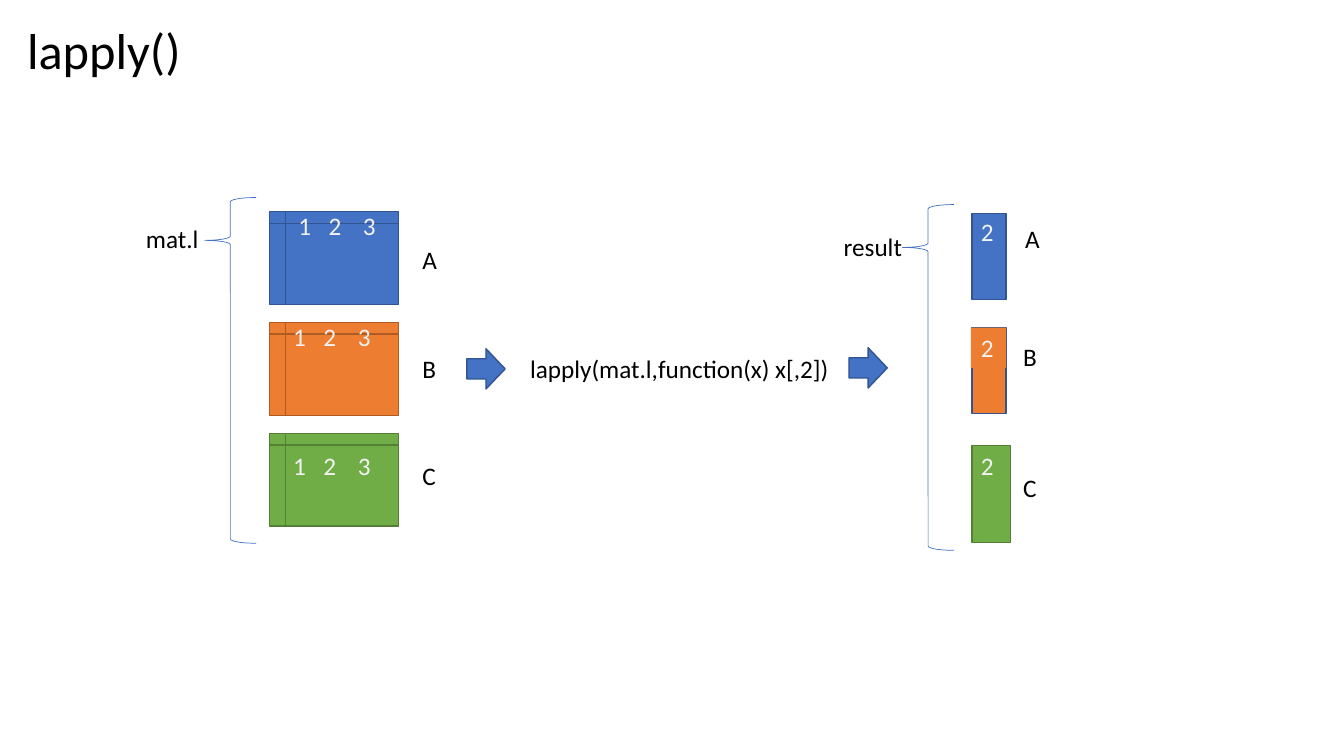
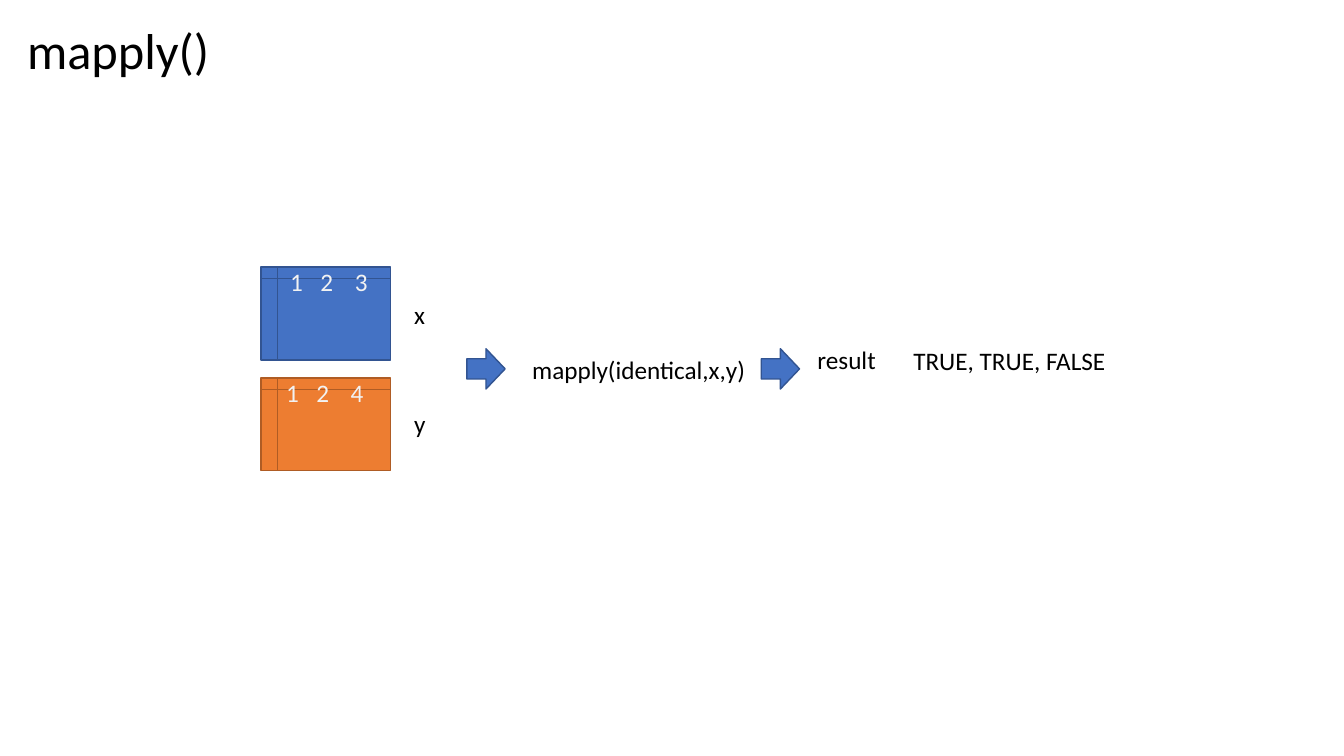
from dataclasses import dataclass

from lxml import etree
from pptx import Presentation
from pptx.dml.color import RGBColor
from pptx.enum.shapes import MSO_SHAPE
from pptx.enum.text import MSO_AUTO_SIZE, MSO_VERTICAL_ANCHOR, PP_ALIGN
from pptx.oxml.ns import qn
from pptx.util import Inches, Pt

MATRIX = MSO_SHAPE.FLOWCHART_INTERNAL_STORAGE
BRACE = MSO_SHAPE.LEFT_BRACE
ARROW = MSO_SHAPE.RIGHT_ARROW
RECTANGLE = MSO_SHAPE.RECTANGLE
LEFT = PP_ALIGN.LEFT
TOP = MSO_VERTICAL_ANCHOR.TOP
GROW = MSO_AUTO_SIZE.SHAPE_TO_FIT_TEXT

COLUMNS, ROWS = 13.33, 7.5
CELL = Inches(1)
LINE_HEIGHT = 0.4
LABEL_WIDTH = 0.38
NAME_WIDTH = 0.83
MATRIX_WIDTH, MATRIX_HEIGHT, MATRIX_STEP = 1.28, 0.92, 1.1
LABEL_GAP = 1.42
DIGIT_STOPS = (0.3, 0.64)


@dataclass(frozen=True)
class Theme:
    font: str = "Calibri"
    title_size: float = 36
    body_size: float = 18
    outline: float = 1
    thin: float = 0.5
    ink: str = "000000"
    pale: str = "F2F2F2"
    blue: str = "4472C4"
    blue_edge: str = "325491"
    orange: str = "ED7D31"
    orange_edge: str = "AF5C24"
    green: str = "70AD47"
    green_edge: str = "538035"


THEME = Theme()
BLUE = (THEME.blue, THEME.blue_edge)
ORANGE = (THEME.orange, THEME.orange_edge)
GREEN = (THEME.green, THEME.green_edge)


def place(*lengths):
    return [round(length * CELL) for length in lengths]


def add_text(slide, text, left, top, width, height=LINE_HEIGHT,
             size=THEME.body_size, color=THEME.ink, wrap=True):
    box = slide.shapes.add_textbox(*place(left, top, width, height))
    frame = box.text_frame
    frame.word_wrap = wrap
    frame.auto_size = GROW
    frame.vertical_anchor = TOP
    frame.text = text
    paragraph = frame.paragraphs[0]
    paragraph.alignment = LEFT
    for run in paragraph.runs:
        run.font.name = THEME.font
        run.font.size = Pt(size)
        run.font.color.rgb = RGBColor.from_string(color)
    return paragraph


def add_title(slide, text, width):
    add_text(slide, text, 0.17, 0.14, width, 0.71, THEME.title_size, wrap=False)


def add_figure(slide, kind, left, top, width, height,
               fill=None, edge=None, weight=THEME.outline):
    figure = slide.shapes.add_shape(kind, *place(left, top, width, height))
    figure.shadow.inherit = False
    if fill:
        figure.fill.solid()
        figure.fill.fore_color.rgb = RGBColor.from_string(fill)
    else:
        figure.fill.background()
    if edge:
        figure.line.color.rgb = RGBColor.from_string(edge)
        figure.line.width = Pt(weight)
    else:
        figure.line.fill.background()
    return figure


def add_arrow(slide, left, top=3.46):
    add_figure(slide, ARROW, left, top, 0.38, LINE_HEIGHT, *BLUE)


def add_brace(slide, left, top):
    brace = add_figure(slide, BRACE, left, top, 0.51, 3.43,
                       edge=THEME.blue, weight=THEME.thin)
    brace.adjustments[0] = 0.083
    brace.adjustments[1] = 0.124


def add_digits(slide, digits, left, top):
    paragraph = add_text(slide, "\t".join(digits), left, top, 0.99, color=THEME.pale)
    properties = paragraph.runs[0].font._element.getparent().getparent().get_or_add_pPr()
    stops = etree.SubElement(properties, qn("a:tabLst"))
    for stop in DIGIT_STOPS:
        etree.SubElement(stops, qn("a:tab"), pos=str(round(stop * CELL)), algn="l")


def add_matrices(slide, left, top, matrices):
    for index, (name, digits, colors, indent, drop, label_drop) in enumerate(matrices):
        row = top + index * MATRIX_STEP
        add_figure(slide, MATRIX, left, row, MATRIX_WIDTH, MATRIX_HEIGHT, *colors)
        add_text(slide, name, left + LABEL_GAP, row + label_drop, LABEL_WIDTH)
        add_digits(slide, digits, left + indent, row + drop)


def add_result_column(slide, name, colors, top, size, label_at, digit_top):
    left = 9.64
    add_figure(slide, RECTANGLE, left, top, *size, *colors)
    if name == "B":
        add_figure(slide, RECTANGLE, left - 0.01, top, 0.35, LINE_HEIGHT, colors[0])
    add_text(slide, "2", left - 0.01, digit_top, 0.35, color=THEME.pale)
    add_text(slide, name, *label_at, LABEL_WIDTH)


def build_lapply(slide):
    add_title(slide, "lapply()", 1.74)
    add_text(slide, "lapply(mat.l,function(x) x[,2])", 5.16, 3.46, 3.95)
    add_text(slide, "mat.l", 1.35, 2.17, NAME_WIDTH)
    add_brace(slide, 2.03, 1.96)
    add_matrices(slide, 2.67, 2.1, [
        ("A", "123", BLUE, 0.19, -0.06, 0.27),
        ("B", "123", ORANGE, 0.14, -0.06, 0.26),
        ("C", "123", GREEN, 0.14, 0.12, 0.22),
    ])
    add_arrow(slide, 4.63)
    add_arrow(slide, 8.42, 3.45)
    add_text(slide, "result", 8.27, 2.25, NAME_WIDTH)
    add_brace(slide, 8.95, 2.03)
    results = [
        ("A", BLUE, 2.12, (0.34, 0.85), (10.07, 2.17), 2.1),
        ("B", (THEME.orange, THEME.blue_edge), 3.25, (0.34, 0.85), (10.05, 3.34), 3.25),
        ("C", GREEN, 4.42, (0.38, 0.96), (10.05, 4.64), 4.42),
    ]
    for result in results:
        add_result_column(slide, *result)


def build_mapply(slide):
    add_title(slide, "mapply()", 2.03)
    add_matrices(slide, 2.59, 2.65, [
        ("x", "123", BLUE, 0.19, -0.06, 0.27),
        ("y", "124", ORANGE, 0.15, -0.06, 0.25),
    ])
    add_arrow(slide, 4.63)
    add_text(slide, "mapply(identical,x,y)", 5.18, 3.47, 3.36)
    add_arrow(slide, 7.55)
    add_text(slide, "result", 8.01, 3.37, NAME_WIDTH)
    add_text(slide, "TRUE, TRUE, FALSE", 8.96, 3.38, 2.12, wrap=False)


def main():
    deck = Presentation()
    deck.slide_width, deck.slide_height = place(COLUMNS, ROWS)
    blank = deck.slide_layouts[6]
    for build in (build_lapply, build_mapply):
        build(deck.slides.add_slide(blank))
    deck.save("out.pptx")


main()
